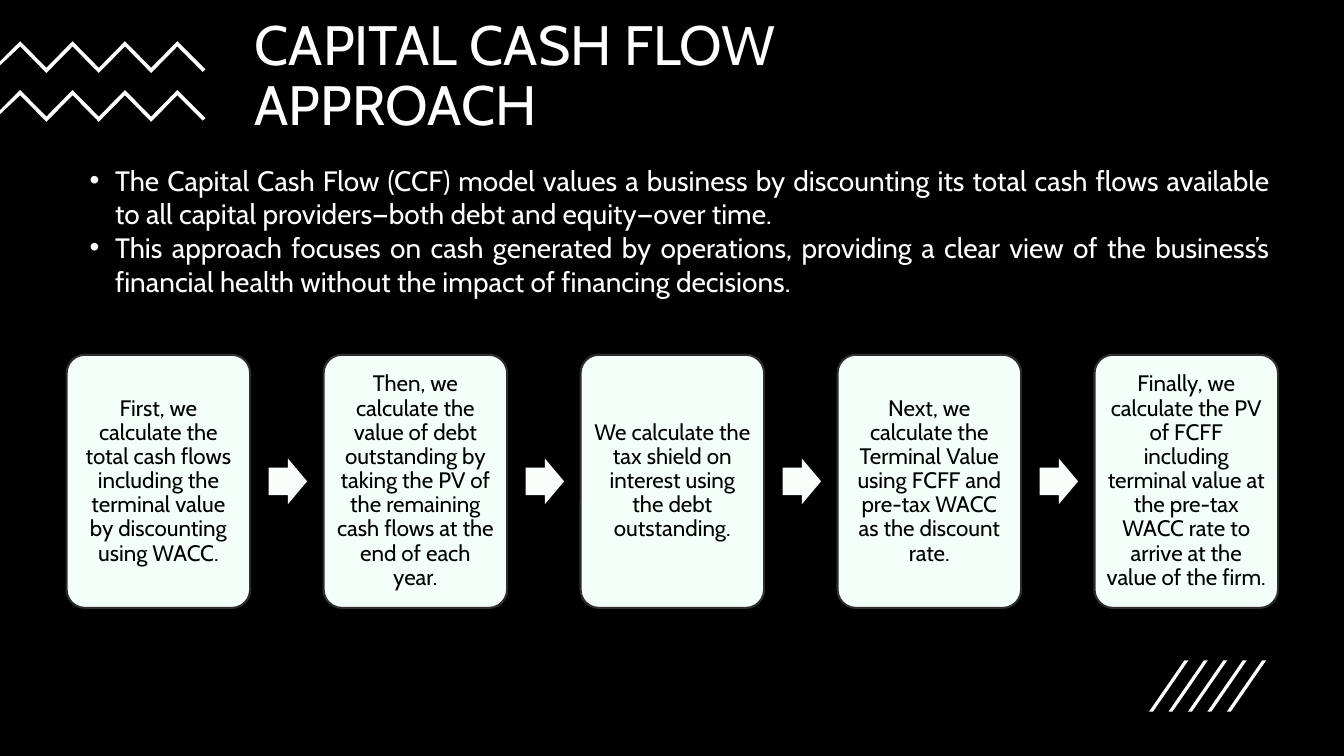
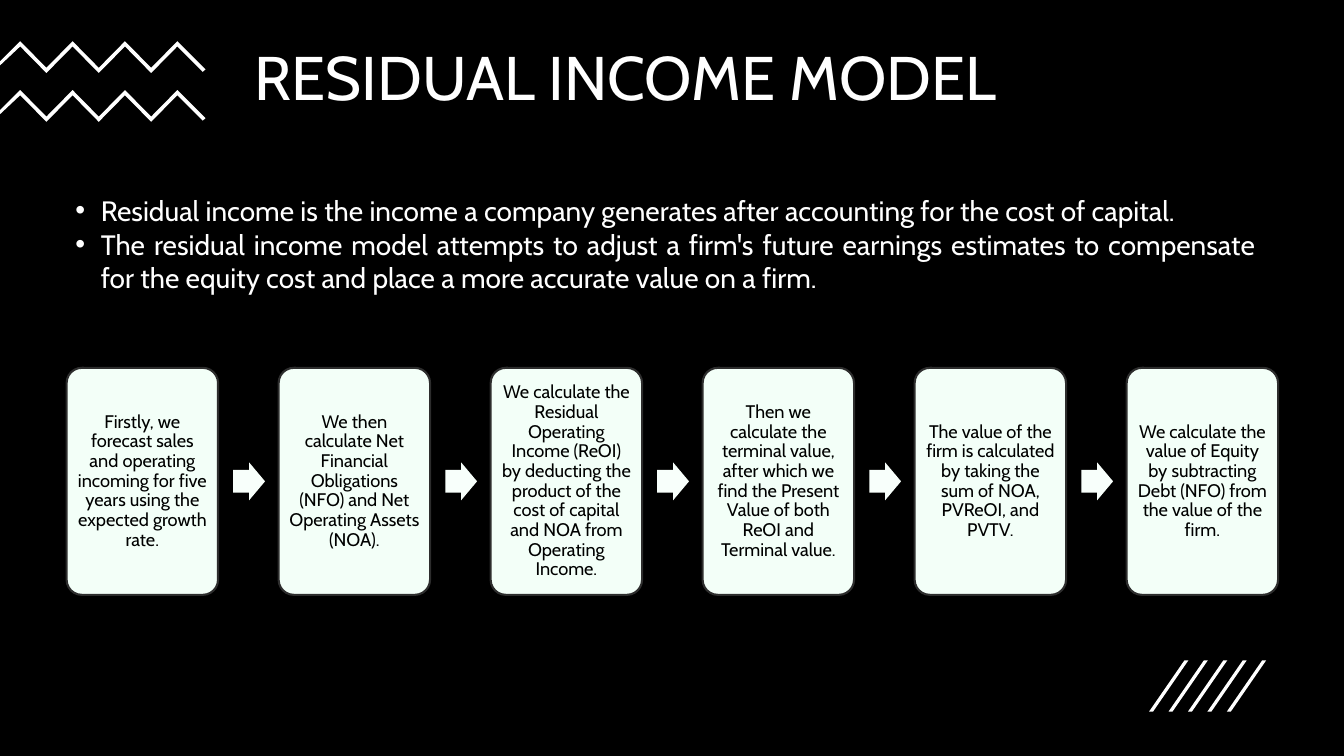
from lxml import etree
from pptx import Presentation
from pptx.dml.color import RGBColor
from pptx.enum.shapes import MSO_SHAPE
from pptx.enum.text import MSO_ANCHOR, PP_ALIGN
from pptx.oxml.ns import qn
from pptx.util import Cm, Pt

ROUND = MSO_SHAPE.ROUNDED_RECTANGLE
ARROW = MSO_SHAPE.RIGHT_ARROW
MIDDLE = MSO_ANCHOR.MIDDLE
LEFT, CENTER, JUSTIFY = PP_ALIGN.LEFT, PP_ALIGN.CENTER, PP_ALIGN.JUSTIFY


def color(text):
    return RGBColor.from_string(text)


class Deck:
    font = "Cabin"
    black = "000000"
    white = "FFFFFF"
    mint = "F3FFF8"
    pale = "F8FFFB"
    edge = "2D2D2D"

    def __init__(self):
        self.file = Presentation()
        self.file.slide_width = Cm(33.87)
        self.file.slide_height = Cm(19.05)
        self.slide = None

    def page(self):
        self.slide = self.file.slides.add_slide(self.file.slide_layouts[6])
        fill = self.slide.background.fill
        fill.solid()
        fill.fore_color.rgb = color(self.black)
        self.waves()
        self.bars()

    def paint(self, shape, fill, line=None):
        shape.shadow.inherit = False
        shape.fill.solid()
        shape.fill.fore_color.rgb = color(fill)
        if line:
            shape.line.color.rgb = color(line)
            shape.line.width = Pt(1.5)
        else:
            shape.line.fill.background()

    def style(self, para, size, ink, align, space=None):
        para.alignment = align
        if space:
            para.line_spacing = space
        for run in para.runs:
            run.font.name = self.font
            run.font.size = Pt(size)
            run.font.color.rgb = color(ink)

    def outline(self, points):
        points = [(Cm(x), Cm(y)) for x, y in points]
        form = self.slide.shapes.build_freeform(*points[0], scale=1.0)
        form.add_line_segments(points[1:], close=True)
        self.paint(form.convert_to_shape(), self.white)

    def waves(self):
        peaks = [(0.51 + 0.66 * i, 1.04 + 0.67 * (i % 2)) for i in range(7)]
        under = [(x, y + 0.13) for x, y in reversed(peaks)]
        wave = peaks + [(5.18, 1.75), (5.11, 1.81)] + under + [(0, 1.65), (0, 1.55)]
        for drop in (0, 1.23):
            self.outline([(x, y + drop) for x, y in wave])

    def bars(self):
        for i in range(5):
            x = 28.96 + 0.49 * i
            self.outline([(x + 0.1, 17.93), (x, 17.93), (x + 0.89, 16.64), (x + 0.99, 16.64)])

    def box(self, left, top, width, height):
        area = (Cm(n) for n in (left, top, width, height))
        frame = self.slide.shapes.add_textbox(*area).text_frame
        frame.word_wrap = True
        return frame

    def title(self, text, width, height, size):
        frame = self.box(6.17, 0.81, width, height)
        frame.vertical_anchor = MIDDLE
        frame.text = text
        self.style(frame.paragraphs[0], size, self.white, LEFT, 0.9)

    def bullets(self, items, left, top, height):
        frame = self.box(left, top, 30.25, height)
        frame.text = "\n".join(items)
        for para in frame.paragraphs:
            self.style(para, 20, self.white, JUSTIFY)
            props = para._p.get_or_add_pPr()
            props.set("marL", str(Cm(0.64)))
            props.set("indent", str(-Cm(0.64)))
            etree.SubElement(props, qn("a:buFont")).set("typeface", "Arial")
            etree.SubElement(props, qn("a:buChar")).set("char", "•")

    def shape(self, kind, left, width, height, marks, fill, line=None):
        top = 12.13 - height / 2
        shape = self.slide.shapes.add_shape(kind, Cm(left), Cm(top), Cm(width), Cm(height))
        for i, mark in enumerate(marks):
            shape.adjustments[i] = mark
        self.paint(shape, fill, line)
        return shape

    def card(self, text, left, width, height, size, inset):
        frame = self.shape(ROUND, left, width, height, [0.1], self.mint, self.edge).text_frame
        frame.word_wrap = True
        frame.vertical_anchor = MIDDLE
        frame.margin_left = frame.margin_right = Cm(inset)
        frame.margin_top = frame.margin_bottom = Cm(inset)
        frame.text = text
        self.style(frame.paragraphs[0], size, self.black, CENTER, 0.9)

    def flow(self, steps, height, size, inset):
        width = 30.53 / (1.4 * len(steps) - 0.4)
        for i, text in enumerate(steps):
            left = 1.68 + 1.4 * width * i
            if i:
                self.shape(ARROW, left - 0.3 * width, 0.21 * width, 0.25 * width,
                           [0.6, 0.5], self.pale)
            self.card(text, left, width, height, size, inset)


def main():
    deck = Deck()

    deck.page()
    deck.title("CAPITAL CASH FLOW APPROACH", 20.6, 2.29, 39.6)
    deck.flow([
        "First, we calculate the total cash flows including the terminal value by discounting using WACC.",
        "Then, we calculate the value of debt outstanding by taking the PV of the remaining cash flows at the end of each year.",
        "We calculate the tax shield on interest using the debt outstanding.",
        "Next, we calculate the Terminal Value using FCFF and pre-tax WACC as the discount rate.",
        "Finally, we calculate the PV of FCFF including terminal value at the pre-tax WACC rate to arrive at the value of the firm.",
    ], 6.38, 16, 0.17)
    deck.bullets([
        "The Capital Cash Flow (CCF) model values a business by discounting its total cash flows available to all capital providers—both debt and equity—over time.",
        "This approach focuses on cash generated by operations, providing a clear view of the business’s financial health without the impact of financing decisions.",
    ], 2.01, 3.99, 3.68)

    deck.page()
    deck.title("RESIDUAL INCOME MODEL", 19.38, 2.46, 44)
    deck.flow([
        "Firstly, we forecast sales and operating incoming for five years using the expected growth rate.",
        "We then calculate Net Financial Obligations (NFO) and Net Operating Assets (NOA).",
        "We calculate the Residual Operating Income (ReOI) by deducting the product of the cost of capital and NOA from Operating Income.",
        "Then we calculate the terminal value, after which we find the Present Value of both ReOI and Terminal value.",
        "The value of the firm is calculated by taking the sum of NOA, PVReOI, and PVTV.",
        "We calculate the value of Equity by subtracting Debt (NFO) from the value of the firm.",
    ], 5.72, 13, 0.14)
    deck.bullets([
        "Residual income is the income a company generates after accounting for the cost of capital.",
        "The residual income model attempts to adjust a firm's future earnings estimates to compensate for the equity cost and place a more accurate value on a firm.",
    ], 1.65, 4.75, 2.82)

    deck.file.save("out.pptx")


if __name__ == "__main__":
    main()
